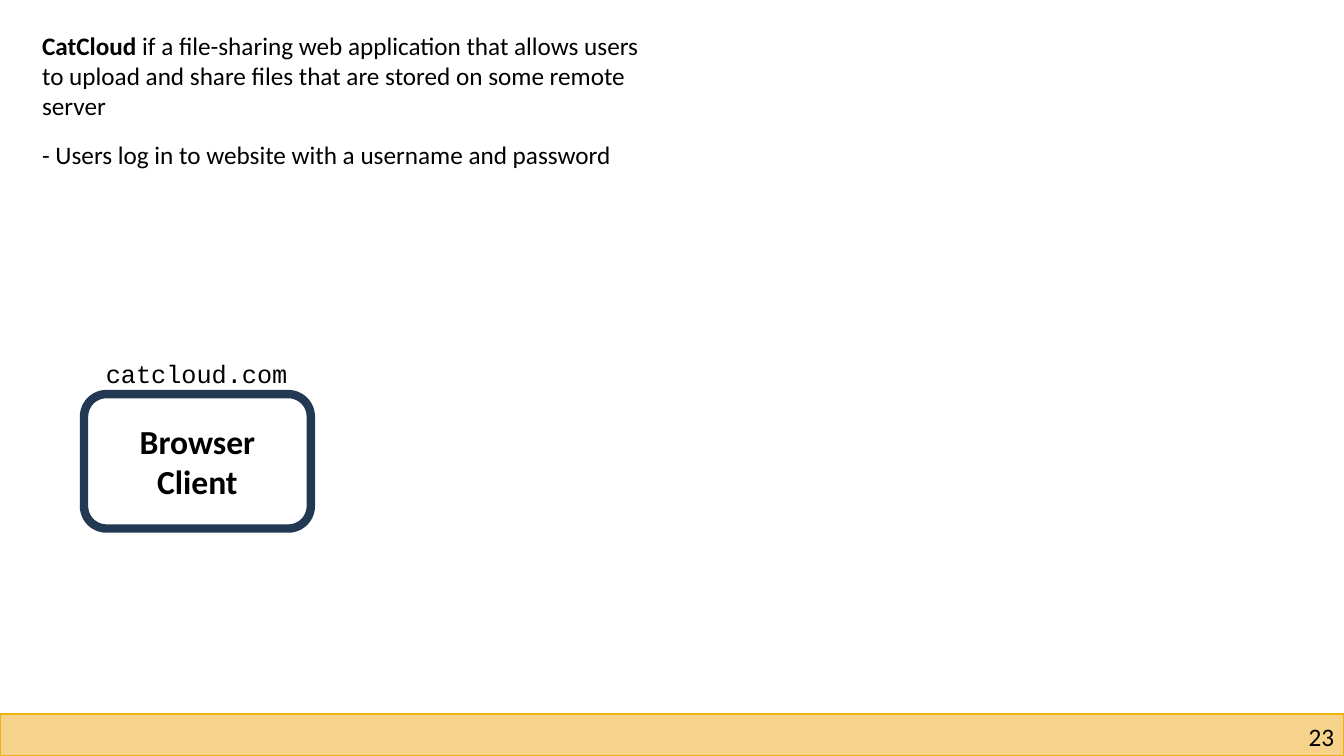
import pptx
import pptx.util
import pptx.dml.color
import pptx.enum.shapes
import pptx.enum.text

Pt = pptx.util.Pt
Rgb = pptx.dml.color.RGBColor.from_string
Kind = pptx.enum.shapes.MSO_SHAPE
Align = pptx.enum.text.PP_ALIGN
Anchor = pptx.enum.text.MSO_ANCHOR

# Content: each text is a list of (words, bold) runs
INTRO = [
    ("CatCloud ", True),
    ("if a file-sharing web application that allows users to upload "
     "and share files that are stored on some remote server", False),
]
LOGIN = [("- Users log in to website with a username and password", False)]
CLIENT = [("Browser Client", True)]
SITE = [("catcloud.com", False)]
NUMBER = [("23", False)]

THEME = {
    "ink": "000000", "navy": "233953", "gold": "F6D28B", "edge": "EEB211",
    "font": "Calibri", "mono": "Courier New", "body": 18, "label": 24,
}

# Layout, in points
WIDE, HIGH = 960, 540
BAR = 30
LEFT = 23
BOX = (60, 281.5, 162, 96)
SITE_W, SITE_H = 145, 29


def write(shape, runs, size="body", font="font", align=Align.LEFT, wrap=True):
    frame = shape.text_frame
    frame.word_wrap = wrap
    para = frame.paragraphs[0]
    para.alignment = align
    para.font.size = Pt(THEME[size])
    para.font.name = THEME[font]
    para.font.color.rgb = Rgb(THEME["ink"])
    for words, bold in runs:
        run = para.add_run()
        run.text = words
        run.font.bold = bold
    return frame


def place(area):
    return [Pt(value) for value in area]


def outline(kind, area, line, width, fill=None):
    shape = slide.shapes.add_shape(kind, *place(area))
    shape.shadow.inherit = False
    shape.line.color.rgb = Rgb(THEME[line])
    shape.line.width = Pt(width)
    if fill:
        shape.fill.solid()
        shape.fill.fore_color.rgb = Rgb(THEME[fill])
    else:
        shape.fill.background()
    return shape


def label(area, runs, **style):
    return write(slide.shapes.add_textbox(*place(area)), runs, **style)


deck = pptx.Presentation()
deck.slide_width, deck.slide_height = Pt(WIDE), Pt(HIGH)
slide = deck.slides.add_slide(deck.slide_layouts[6])

# Footer bar with page number
outline(Kind.RECTANGLE, (0, HIGH - BAR, WIDE, BAR), "edge", 1, "gold")
page = label((732, 515, 221, 21.6), NUMBER, align=Align.RIGHT)
page.margin_left = page.margin_right = 0
page.margin_top = page.margin_bottom = 0

# Description
label((LEFT, 18, 456, 72.7), INTRO)
label((LEFT, 96, 465, 29), LOGIN, wrap=False)

# Browser client, with the site address centred above it
client = outline(Kind.ROUNDED_RECTANGLE, BOX, "navy", 6)
write(client, CLIENT, size="label",
      align=Align.CENTER).vertical_anchor = Anchor.MIDDLE
x, y, w, h = BOX
label((x + (w - SITE_W) / 2, y - SITE_H, SITE_W, SITE_H), SITE,
      font="mono", wrap=False)

deck.save("out.pptx")
